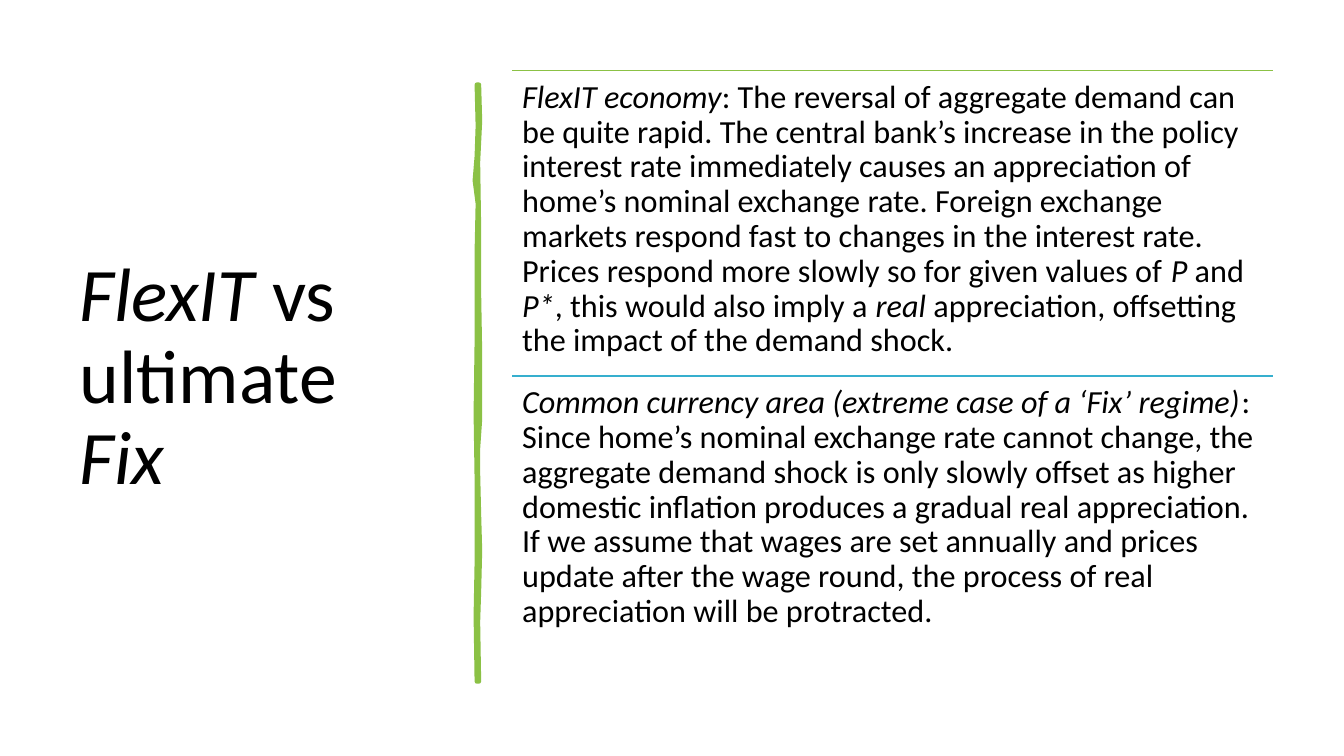
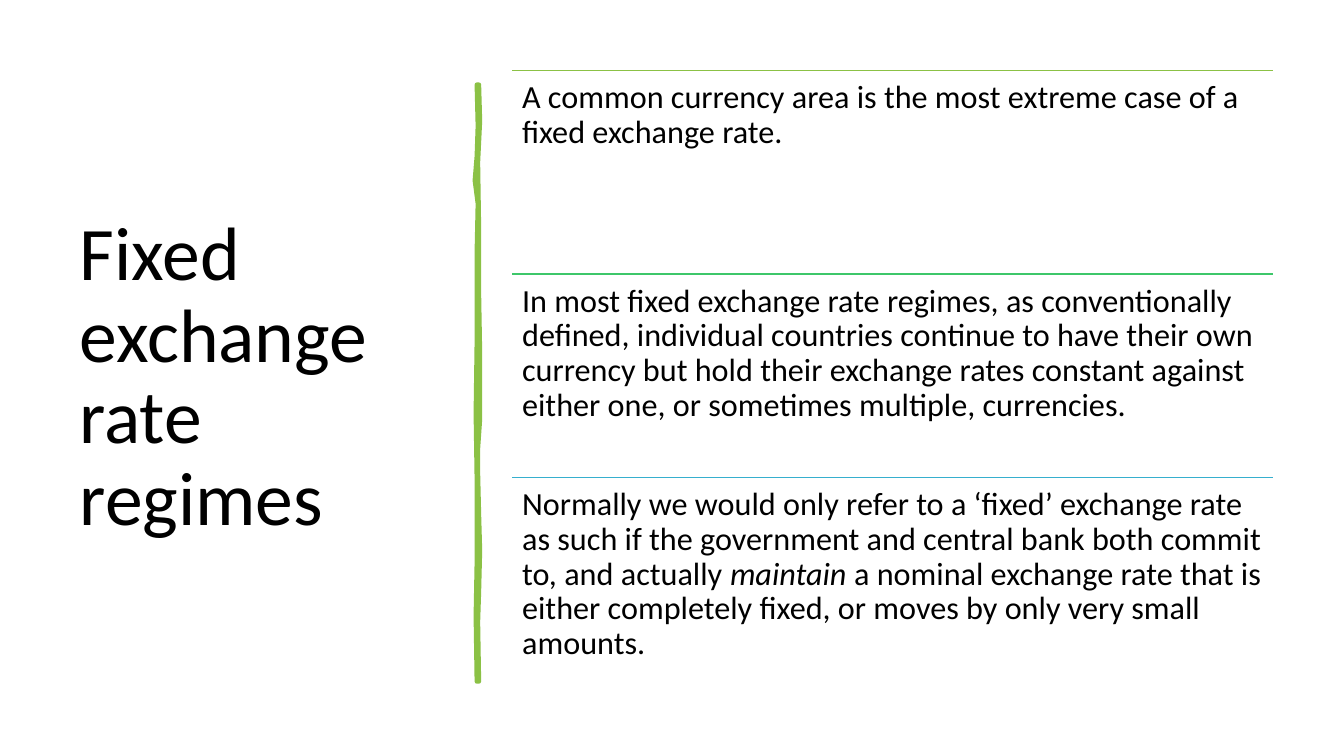
from dataclasses import dataclass

from lxml import etree
from pptx import Presentation
from pptx.dml.color import RGBColor
from pptx.enum.shapes import MSO_CONNECTOR
from pptx.enum.text import MSO_ANCHOR, MSO_AUTO_SIZE, PP_ALIGN
from pptx.oxml.ns import qn
from pptx.util import Inches, Pt

BLACK = RGBColor(0x00, 0x00, 0x00)
LIME = RGBColor(0x8B, 0xC1, 0x45)
GREEN = RGBColor(0x3E, 0xC7, 0x6A)
TEAL = RGBColor(0x36, 0xAF, 0xCE)

STRAIGHT = MSO_CONNECTOR.STRAIGHT
MIDDLE = MSO_ANCHOR.MIDDLE
TOP = MSO_ANCHOR.TOP
LEFT = PP_ALIGN.LEFT
FIXED_SIZE = MSO_AUTO_SIZE.NONE

FONT = "Calibri"
TITLE_SIZE = Pt(54)
BODY_SIZE = Pt(23)
LINE_SPACING = 0.9
TITLE_ONLY = 5


@dataclass
class Box:
    left: float
    top: float
    width: float
    height: float

    def emu(self):
        return [Inches(v) for v in (self.left, self.top, self.width, self.height)]

    def rows(self, count):
        step = self.height / count
        return [Box(self.left, self.top + i * step, self.width, step)
                for i in range(count)]


TITLE_BOX = Box(0.69, 0.7, 3.72, 6.11)
BRUSH_BOX = Box(4.73, 0.84, 0.02, 5.92)
POINTS_BOX = Box(5.08, 0.7, 7.55, 6.06)

# Brush edges: (share of the height, sideways offset in hundredths of an inch)
RIGHT_EDGE = [(0, 0), (0.06, 1.5), (0.13, -0.5), (0.24, 0), (0.35, 0),
              (0.45, 1), (0.56, 1.5), (0.61, -0.5), (0.65, -1.5), (0.72, 0),
              (0.78, 1.5), (0.85, 0), (0.9, -0.5), (1, 0)]
LEFT_EDGE = [(1, 0), (0.89, -1), (0.8, 0), (0.66, 0), (0.55, -1),
             (0.43, -0.5), (0.28, -0.5), (0.2, 0.5), (0.16, -2),
             (0.12, -0.5), (0.07, 1), (0, 0)]

SLIDES = [
    ("_FlexIT_ vs ultimate _Fix_", [
        (LIME, "_FlexIT economy_: The reversal of aggregate demand can be quite "
               "rapid. The central bank’s increase in the policy interest rate "
               "immediately causes an appreciation of home’s nominal exchange "
               "rate. Foreign exchange markets respond fast to changes in the "
               "interest rate. Prices respond more slowly so for given values of "
               "_P_ and _P*_, this would also imply a _real_ appreciation, "
               "offsetting the impact of the demand shock."),
        (TEAL, "_Common currency area (extreme case of a ‘Fix’ regime)_: Since "
               "home’s nominal exchange rate cannot change, the aggregate demand "
               "shock is only slowly offset as higher domestic inflation produces "
               "a gradual real appreciation. If we assume that wages are set "
               "annually and prices update after the wage round, the process of "
               "real appreciation will be protracted."),
    ]),
    ("Fixed exchange rate regimes", [
        (LIME, "A common currency area is the most extreme case of a fixed "
               "exchange rate."),
        (GREEN, "In most fixed exchange rate regimes, as conventionally defined, "
                "individual countries continue to have their own currency but "
                "hold their exchange rates constant against either one, or "
                "sometimes multiple, currencies."),
        (TEAL, "Normally we would only refer to a ‘fixed’ exchange rate as such "
               "if the government and central bank both commit to, and actually "
               "_maintain_ a nominal exchange rate that is either completely "
               "fixed, or moves by only very small amounts."),
    ]),
]


def write_text(shape, text, size, anchor):
    """Fill the shape with one paragraph; text between underscores is italic."""
    frame = shape.text_frame
    frame.word_wrap = True
    frame.auto_size = FIXED_SIZE
    frame.vertical_anchor = anchor
    frame.margin_left = frame.margin_right = Inches(0.1)
    frame.margin_top = frame.margin_bottom = Inches(0.1)
    para = frame.paragraphs[0]
    para.alignment = LEFT
    para.line_spacing = LINE_SPACING
    para.font.name = FONT
    para.font.size = size
    para.font.color.rgb = BLACK
    for index, part in enumerate(text.split("_")):
        if part:
            span = para.add_run()
            span.text = part
            if index % 2:
                span.font.italic = True


def add_title(page, box, text):
    title = page.shapes.title
    title.left, title.top, title.width, title.height = box.emu()
    write_text(title, text, TITLE_SIZE, MIDDLE)


def add_brush_stroke(page, box):
    """Draw the uneven vertical divider."""
    def edge(x, offsets):
        return [(x * 100 + dx, (box.top + share * box.height) * 100)
                for share, dx in offsets]

    outline = edge(box.left + box.width, RIGHT_EDGE) + edge(box.left, LEFT_EDGE)
    builder = page.shapes.build_freeform(*outline[0], scale=Inches(0.01))
    builder.add_line_segments(outline[1:], close=True)
    stroke = builder.convert_to_shape()
    stroke.shadow.inherit = False
    stroke.fill.solid()
    stroke.fill.fore_color.rgb = LIME
    stroke.line.color.rgb = LIME
    stroke.line.width = Pt(3.25)
    line = stroke.line._get_or_add_ln()
    etree.SubElement(line, qn("a:round"))


def add_rule(page, box, color):
    left, top, width, _ = box.emu()
    rule = page.shapes.add_connector(STRAIGHT, left, top, left + width, top)
    rule.line.color.rgb = color
    rule.line.width = Pt(1)
    etree.SubElement(rule._element.spPr, qn("a:effectLst"))


def add_points(page, box, points):
    """Stack the points in equal rows, each under a coloured rule."""
    for row, (color, text) in zip(box.rows(len(points)), points):
        add_rule(page, row, color)
        write_text(page.shapes.add_textbox(*row.emu()), text, BODY_SIZE, TOP)


def add_page(deck, title, points):
    page = deck.slides.add_slide(deck.slide_layouts[TITLE_ONLY])
    add_title(page, TITLE_BOX, title)
    add_brush_stroke(page, BRUSH_BOX)
    add_points(page, POINTS_BOX, points)


def main():
    deck = Presentation()
    deck.slide_width = Inches(13.33)
    deck.slide_height = Inches(7.5)
    for title, points in SLIDES:
        add_page(deck, title, points)
    deck.save("out.pptx")


if __name__ == "__main__":
    main()
